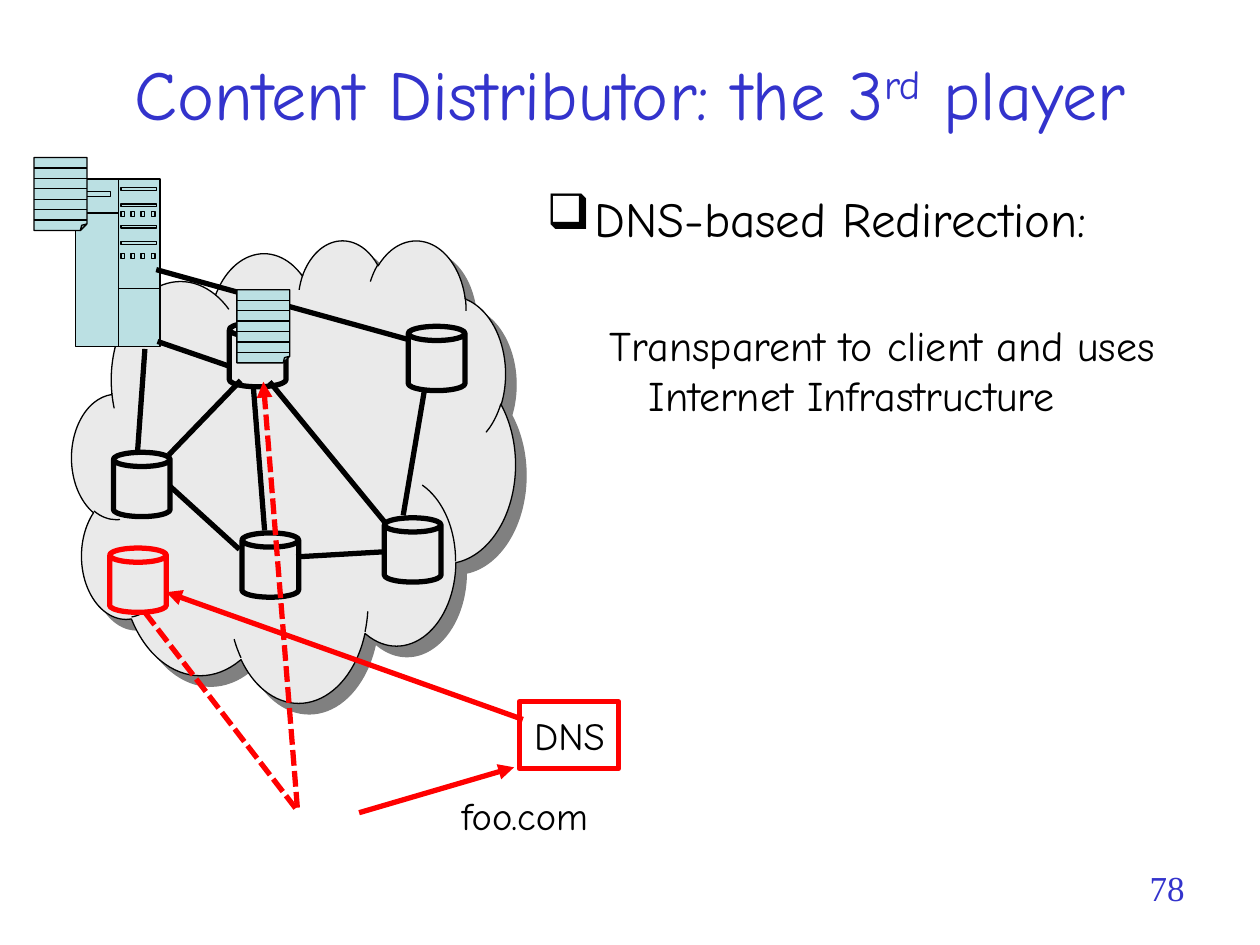
import dataclasses
from typing import Optional

import lxml.etree
import pptx
import pptx.dml.color
import pptx.enum.dml
import pptx.enum.shapes
import pptx.enum.text
import pptx.oxml.ns
import pptx.util
from pptx.util import Inches

COLORS = {"black": "000000", "blue": "3333CC", "red": "FF0000",
          "cloud": "EAEAEA", "paper": "BBE0E3", "shadow": "808080"}
FONT = "Comic Neue"
SHAPES = pptx.enum.shapes.MSO_SHAPE
ALIGN = pptx.enum.text.PP_ALIGN
CAN_SIZE = (0.45, 0.51)
PAGE_SIZE = (0.42, 0.58)


@dataclasses.dataclass
class Link:
    start: tuple[float, float]
    end: tuple[float, float]
    color: str = "black"
    width: float = 3
    dotted: bool = False
    arrow: bool = False


@dataclasses.dataclass
class Can:
    left: float
    top: float
    color: str = "black"


@dataclasses.dataclass
class Label:
    text: str
    box: tuple[float, float, float, float]
    size: float = 22
    color: str = "black"
    font: str = FONT
    align: ALIGN = ALIGN.CENTER


CANS = [Can(3.05, 4.11), Can(3.24, 2.59), Can(0.9, 3.59), Can(1.82, 2.56),
        Can(1.92, 4.23), Can(0.87, 4.35, "red")]
NETWORK_LINKS = [
    Link((1.35, 3.86), (1.9, 4.36)), Link((2.1, 4.21), (2.01, 3.06)),
    Link((2.14, 3.03), (3.05, 4.14)), Link((3.2, 4.09), (3.37, 3.09)),
    Link((1.34, 3.61), (1.91, 3.02)), Link((2.35, 4.42), (3.04, 4.38)),
    Link((1.15, 2.77), (1.09, 3.61)), Link((1.25, 2.71), (1.83, 2.91)),
    Link((1.24, 2.14), (3.26, 2.7)),
]
REQUEST_LINKS = [
    Link((2.85, 6.45), (4.08, 6.09), "red", arrow=True),
    Link((4.15, 5.71), (1.32, 4.7), "red", arrow=True),
    Link((1.15, 4.86), (2.35, 6.42), "red", dotted=True),
    Link((2.36, 6.41), (2.09, 3.03), "red", dotted=True, arrow=True),
]
LABELS = [
    Label("DNS", (4.05, 5.6, 0.94, 0.47)),
    Label("foo.com", (3.47, 6.24, 1.39, 0.47)),
    Label("78", (8.5, 6.83, 1, 0.52), 20, "blue", "Times New Roman", ALIGN.RIGHT),
]


def rgb(name: str) -> pptx.dml.color.RGBColor:
    """Return a named colour."""
    return pptx.dml.color.RGBColor.from_string(COLORS[name])


def add_child(parent, tag: str, **attributes: str):
    """Append a DrawingML element."""
    return lxml.etree.SubElement(parent, pptx.oxml.ns.qn(tag), attributes)


def style_shape(shape, fill: Optional[str], line: str = "black", width: float = 0.75) -> None:
    """Set fill and outline and remove the shadow."""
    shape.shadow.inherit = False
    if fill:
        shape.fill.solid()
        shape.fill.fore_color.rgb = rgb(fill)
    else:
        shape.fill.background()
    shape.line.color.rgb = rgb(line)
    shape.line.width = pptx.util.Pt(width)


def add_preset(shapes, kind: SHAPES, box: tuple, fill: Optional[str],
               line: str = "black", width: float = 0.75):
    """Draw a preset shape."""
    shape = shapes.add_shape(kind, *map(Inches, box))
    style_shape(shape, fill, line, width)
    return shape


def add_link(shapes, link: Link) -> None:
    """Draw a straight line, dotted or with an arrowhead if asked."""
    connector = shapes.add_connector(pptx.enum.shapes.MSO_CONNECTOR.STRAIGHT,
                                     *map(Inches, link.start + link.end))
    connector.line.color.rgb = rgb(link.color)
    connector.line.width = pptx.util.Pt(link.width)
    if link.dotted:
        connector.line.dash_style = pptx.enum.dml.MSO_LINE.SQUARE_DOT
    properties = connector._element.spPr
    if link.arrow:
        add_child(properties.find(pptx.oxml.ns.qn("a:ln")), "a:tailEnd", type="triangle")
    add_child(properties, "a:effectLst")


def add_can(shapes, can: Can) -> None:
    """Draw one cache node."""
    add_preset(shapes, SHAPES.CAN, (can.left, can.top) + CAN_SIZE, None, can.color, 3)


def add_page(shapes, left: float, top: float) -> None:
    """Draw a ruled page with a folded corner."""
    page = add_preset(shapes, SHAPES.FOLDED_CORNER, (left, top) + PAGE_SIZE, "paper")
    guides = page._element.spPr.find(".//" + pptx.oxml.ns.qn("a:avLst"))
    add_child(guides, "a:gd", name="adj", fmla="val 12500")
    for row in range(1, 7):
        y = top + row * PAGE_SIZE[1] / 7
        add_link(shapes, Link((left, y), (left + PAGE_SIZE[0], y), width=0.75))


def add_server(shapes) -> None:
    """Draw the server tower with its panels, slots and buttons."""
    add_preset(shapes, SHAPES.RECTANGLE, (0.6, 1.42, 0.67, 1.33), "paper")
    slots = [(0.66, 1.52, 0.22, 0.04)]
    slots += [(0.96, y, 0.28, 0.02) for y in (1.49, 1.62, 1.79, 1.92)]
    slots += [(0.96 + 0.08 * column, y, 0.03, 0.04)
              for y in (1.68, 2.01) for column in range(4)]
    outlines = [[(x, y), (x + w, y), (x + w, y + h), (x, y + h), (x, y)]
                for x, y, w, h in slots]
    outlines.append([(0.6, 1.69), (0.94, 1.69), (0.94, 2.29), (1.27, 2.29)])
    outlines.append([(0.94, 1.42), (0.94, 2.75)])
    builder = shapes.build_freeform(*map(Inches, outlines[0][0]))
    for outline in outlines:
        points = [(Inches(x), Inches(y)) for x, y in outline]
        builder.move_to(*points[0])
        builder.add_line_segments(points[1:], close=False)
    style_shape(builder.convert_to_shape(), None)


def add_cloud(shapes) -> None:
    """Draw the network cloud with a hard shadow."""
    cloud = add_preset(shapes, SHAPES.CLOUD, (0.57, 1.9, 3.52, 3.67), "cloud")
    effects = cloud._element.spPr.find(pptx.oxml.ns.qn("a:effectLst"))
    shadow = add_child(effects, "a:outerShdw", blurRad="0", dist=str(pptx.util.Pt(8.5)),
                       dir="2700000", algn="ctr", rotWithShape="0")
    add_child(shadow, "a:srgbClr", val=COLORS["shadow"])


def add_text_frame(shapes, box: tuple):
    """Add a wrapping text box and return its frame."""
    text_frame = shapes.add_textbox(*map(Inches, box)).text_frame
    text_frame.word_wrap = True
    return text_frame


def format_runs(paragraph, size: float, color: str, font: str = FONT) -> None:
    """Set size, colour and typeface on each run."""
    for run in paragraph.runs:
        run.font.size = pptx.util.Pt(size)
        run.font.name = font
        run.font.color.rgb = rgb(color)


def add_label(shapes, label: Label) -> None:
    """Draw a one-line text."""
    paragraph = add_text_frame(shapes, label.box).paragraphs[0]
    paragraph.text = label.text
    paragraph.alignment = label.align
    format_runs(paragraph, label.size, label.color, label.font)


def add_title(shapes) -> None:
    """Draw the title with its raised ordinal."""
    text_frame = add_text_frame(shapes, (0, 0.11, 10, 1.25))
    text_frame.vertical_anchor = pptx.enum.text.MSO_ANCHOR.MIDDLE
    paragraph = text_frame.paragraphs[0]
    paragraph.alignment = ALIGN.CENTER
    for text in ("Content Distributor: the 3", "rd", " player"):
        paragraph.add_run().text = text
    format_runs(paragraph, 40, "blue")
    paragraph.runs[1].font._element.set("baseline", "30000")


def add_body(shapes) -> None:
    """Draw the bullet and its explanation."""
    text_frame = add_text_frame(shapes, (4.24, 1.45, 5.68, 5.31))
    text_frame.text = ("DNS-based Redirection:\n"
                       "Transparent to client and uses Internet Infrastructure")
    heading, detail = text_frame.paragraphs
    for paragraph, margin, indent, size in ((heading, 0.38, -0.38, 28), (detail, 0.81, -0.31, 24)):
        properties = paragraph._p.get_or_add_pPr()
        properties.set("marL", str(Inches(margin)))
        properties.set("indent", str(Inches(indent)))
        format_runs(paragraph, size, "black")
    properties = heading._p.pPr
    add_child(add_child(properties, "a:buClr"), "a:srgbClr", val=COLORS["black"])
    add_child(properties, "a:buChar", char="❑")
    detail.level = 1
    detail.space_before = pptx.util.Pt(41)


def main() -> None:
    """Build the slide and save it."""
    presentation = pptx.Presentation()
    presentation.slide_width, presentation.slide_height = Inches(10), Inches(7.5)
    shapes = presentation.slides.add_slide(presentation.slide_layouts[6]).shapes
    add_title(shapes)
    add_body(shapes)
    add_cloud(shapes)
    origin = shapes.add_group_shape().shapes
    add_server(origin)
    add_page(origin, 0.27, 1.25)
    for can in CANS:
        add_can(shapes, can)
    for link in NETWORK_LINKS:
        add_link(shapes, link)
    add_page(shapes.add_group_shape().shapes, 1.88, 2.3)
    add_preset(shapes, SHAPES.RECTANGLE, (4.12, 5.57, 0.79, 0.53), None, "red", 3)
    for link in REQUEST_LINKS:
        add_link(shapes, link)
    for label in LABELS:
        add_label(shapes, label)
    presentation.save("out.pptx")


if __name__ == "__main__":
    main()
